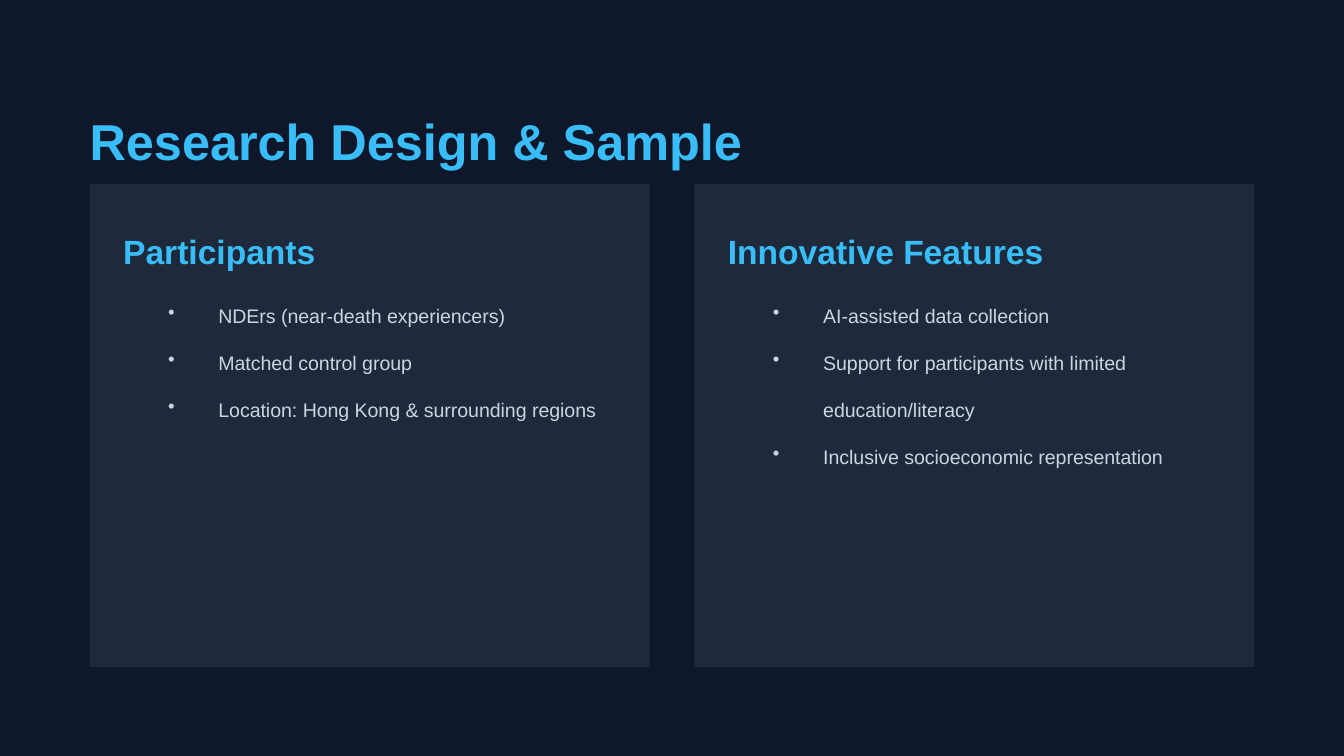
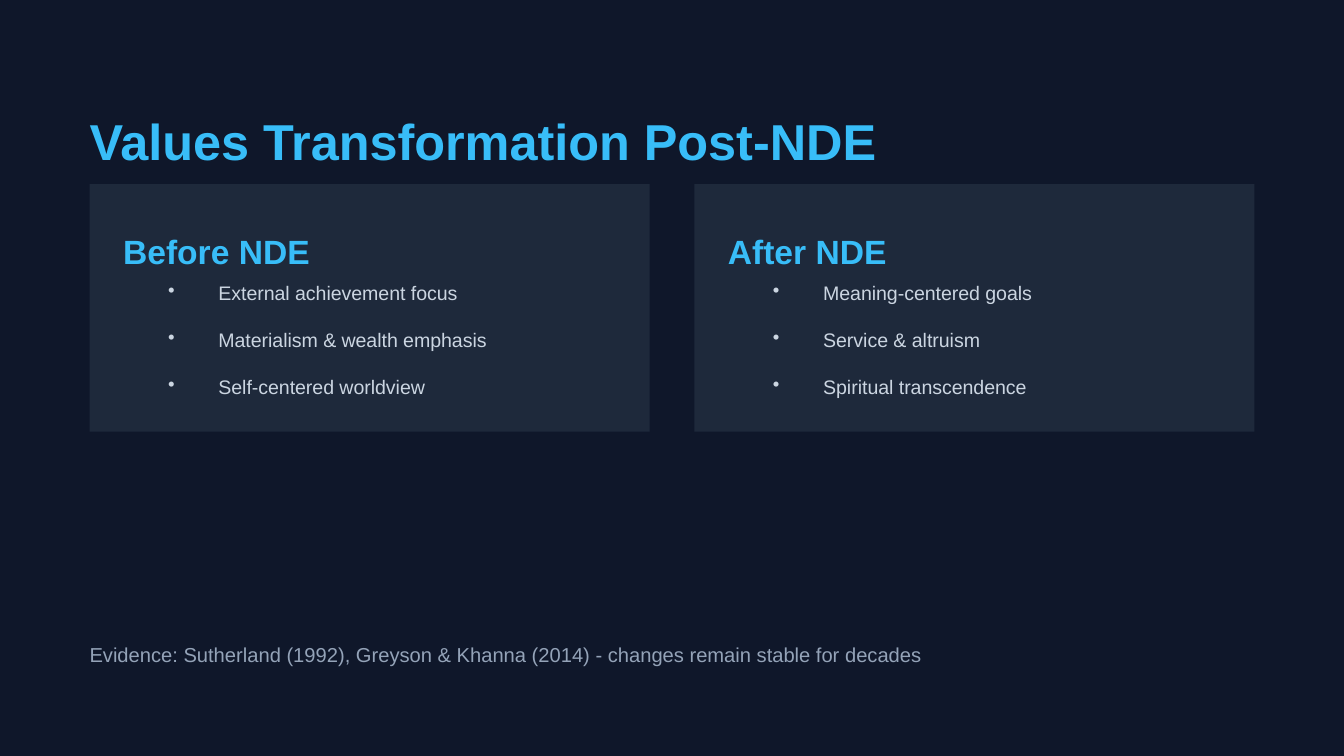
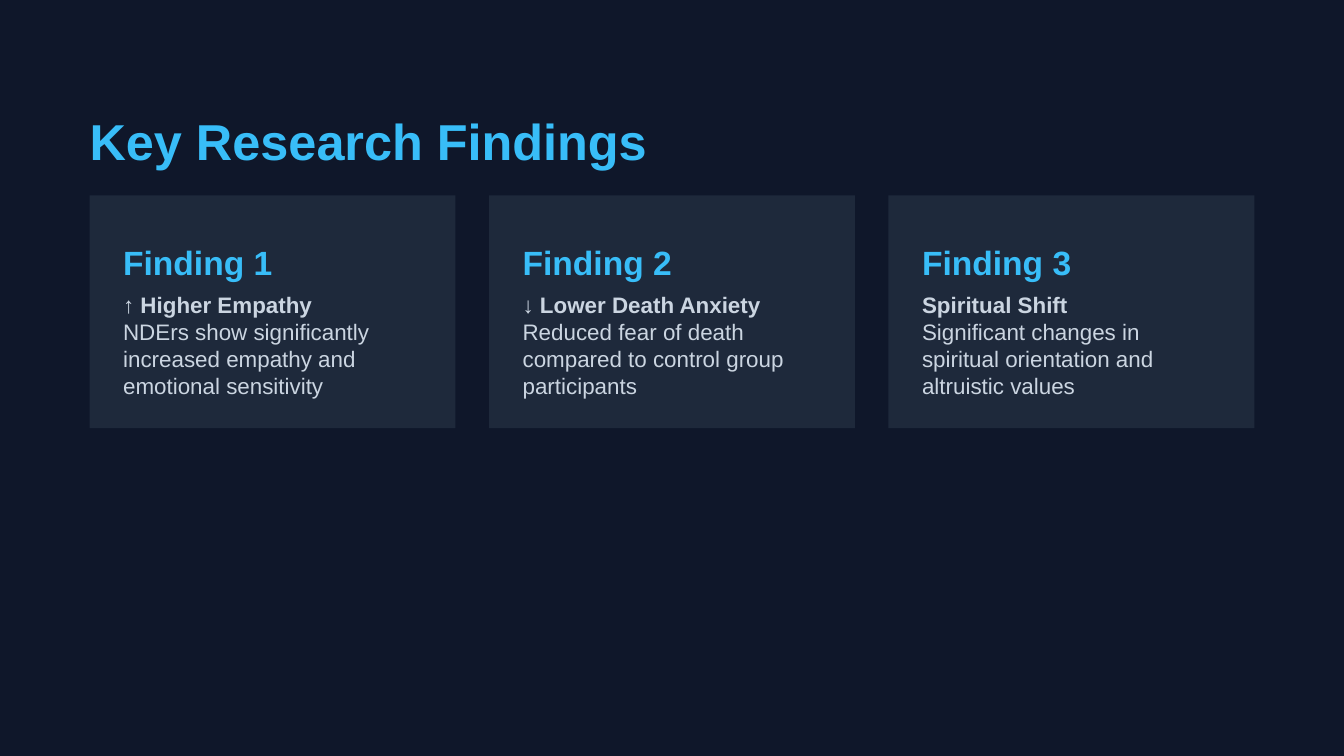
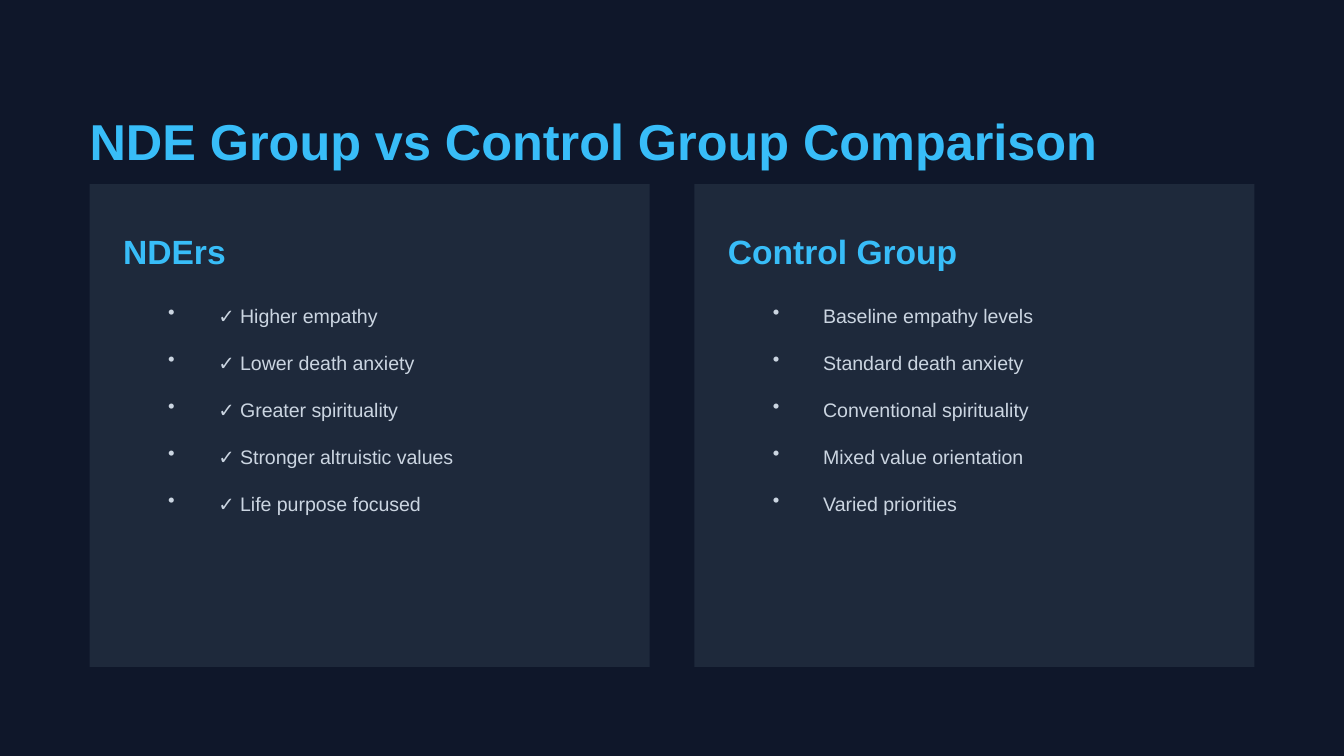
from dataclasses import dataclass

from lxml.etree import SubElement
from pptx import Presentation
from pptx.dml.color import RGBColor
from pptx.enum.shapes import MSO_SHAPE
from pptx.enum.text import MSO_ANCHOR, MSO_AUTO_SIZE, PP_ALIGN
from pptx.oxml.ns import qn
from pptx.slide import Slide
from pptx.text.text import TextFrame
from pptx.util import Inches, Length, Pt

# Palette and font
NIGHT = "0F172A"
PANEL = "1E293B"
SKY = "38BDF8"
MIST = "CBD5E1"
SLATE = "94A3B8"
FONT = "Arial"

# Grid: the slide is 120 columns wide, and rows are as high as columns are wide
SLIDE_WIDTH, SLIDE_HEIGHT = 10, 5.625
COLUMNS = 120
MARGIN = 8
CONTENT = COLUMNS - 2 * MARGIN
PADDING = 3
LIST_INDENT = 4
BULLET_HANG = 4.5
TEXT_SLACK = 1.02  # titles and headings run slightly wider than their column
TITLE_HEIGHT = 5.4
HEADING_HEIGHT = 3.6
NOTE_TOP, NOTE_HEIGHT = 57.36, 2


@dataclass(frozen=True)
class Style:
    size: float
    leading: float
    color: str
    bold: bool = False
    bullet: bool = False


TITLE = Style(27, 43.2, SKY, bold=True)
HEADING = Style(18, 28.8, SKY, bold=True)
BULLET = Style(10.5, 25.2, MIST, bullet=True)
LEAD = Style(12, 14.4, MIST, bold=True)
DETAIL = Style(12, 14.4, MIST)
NOTE = Style(10.8, 13, SLATE)


@dataclass(frozen=True)
class Line:
    text: str
    style: Style


@dataclass(frozen=True)
class Box:
    left: float
    top: float
    width: float
    height: float

    def emu(self) -> tuple[Length, ...]:
        return tuple(grid(n) for n in (self.left, self.top, self.width, self.height))


@dataclass(frozen=True)
class Card:
    heading: str
    lines: list[Line]
    text_height: float


@dataclass(frozen=True)
class CardRow:
    top: float
    height: float
    gap: float
    text_top: float
    text_indent: float


@dataclass(frozen=True)
class Page:
    title: str
    row: CardRow
    cards: list[Card]
    note: str = ""


def grid(cells: float) -> Length:
    return Inches(cells * SLIDE_WIDTH / COLUMNS)


def rgb(color: str) -> RGBColor:
    return RGBColor.from_string(color)


def bullets(*texts: str) -> list[Line]:
    return [Line(text, BULLET) for text in texts]


def finding(lead: str, detail: str) -> list[Line]:
    return [Line(lead, LEAD), Line(detail, DETAIL)]


# Content
TALL_ROW = CardRow(top=16.44, height=43.1, gap=4, text_top=25, text_indent=LIST_INDENT)
SHORT_ROW = CardRow(top=16.44, height=22.1, gap=4, text_top=23, text_indent=LIST_INDENT)
FINDING_ROW = CardRow(top=17.44, height=20.8, gap=3, text_top=26, text_indent=0)

PAGES = [
    Page("Research Design & Sample", TALL_ROW, [
        Card("Participants", bullets(
            "NDErs (near-death experiencers)",
            "Matched control group",
            "Location: Hong Kong & surrounding regions"), 12.5),
        Card("Innovative Features", bullets(
            "AI-assisted data collection",
            "Support for participants with limited education/literacy",
            "Inclusive socioeconomic representation"), 15.6),
    ]),
    Page("Values Transformation Post-NDE", SHORT_ROW, [
        Card("Before NDE", bullets(
            "External achievement focus",
            "Materialism & wealth emphasis",
            "Self-centered worldview"), 12.5),
        Card("After NDE", bullets(
            "Meaning-centered goals",
            "Service & altruism",
            "Spiritual transcendence"), 12.5),
    ], note="Evidence: Sutherland (1992), Greyson & Khanna (2014)"
            " - changes remain stable for decades"),
    Page("Key Research Findings", FINDING_ROW, [
        Card("Finding 1", finding(
            "↑ Higher Empathy",
            "NDErs show significantly increased empathy and emotional sensitivity"), 9.24),
        Card("Finding 2", finding(
            "↓ Lower Death Anxiety",
            "Reduced fear of death compared to control group participants"), 9.24),
        Card("Finding 3", finding(
            "Spiritual Shift",
            "Significant changes in spiritual orientation and altruistic values"), 9.24),
    ]),
    Page("NDE Group vs Control Group Comparison", TALL_ROW, [
        Card("NDErs", bullets(
            "✓ Higher empathy",
            "✓ Lower death anxiety",
            "✓ Greater spirituality",
            "✓ Stronger altruistic values",
            "✓ Life purpose focused"), 21.75),
        Card("Control Group", bullets(
            "Baseline empathy levels",
            "Standard death anxiety",
            "Conventional spirituality",
            "Mixed value orientation",
            "Varied priorities"), 21.75),
    ]),
]


# Drawing
def write(frame: TextFrame, lines: list[Line]) -> None:
    frame.word_wrap = True
    frame.auto_size = MSO_AUTO_SIZE.NONE
    frame.vertical_anchor = MSO_ANCHOR.TOP
    frame.margin_left = frame.margin_top = frame.margin_right = frame.margin_bottom = 0
    for index, line in enumerate(lines):
        paragraph = frame.add_paragraph() if index else frame.paragraphs[0]
        paragraph.alignment = PP_ALIGN.LEFT
        paragraph.line_spacing = Pt(line.style.leading)
        run = paragraph.add_run()
        run.text = line.text
        run.font.name = FONT
        run.font.size = Pt(line.style.size)
        run.font.bold = line.style.bold
        run.font.color.rgb = rgb(line.style.color)
        if line.style.bullet:
            properties = paragraph._p.get_or_add_pPr()
            properties.set("marL", str(grid(BULLET_HANG)))
            properties.set("indent", str(-grid(BULLET_HANG)))
            SubElement(properties, qn("a:buChar")).set("char", "•")


def add_text(slide: Slide, box: Box, lines: list[Line]) -> None:
    write(slide.shapes.add_textbox(*box.emu()).text_frame, lines)


def add_title(slide: Slide, text: str) -> None:
    title = slide.shapes.title
    box = Box(MARGIN, MARGIN, CONTENT * TEXT_SLACK, TITLE_HEIGHT)
    title.left, title.top, title.width, title.height = box.emu()
    write(title.text_frame, [Line(text, TITLE)])


def add_card(slide: Slide, card: Card, row: CardRow, left: float, width: float) -> None:
    panel = slide.shapes.add_shape(
        MSO_SHAPE.RECTANGLE, *Box(left, row.top, width, row.height).emu())
    panel.shadow.inherit = False
    panel.fill.solid()
    panel.fill.fore_color.rgb = rgb(PANEL)
    panel.line.fill.background()

    inner_left, inner_width = left + PADDING, width - 2 * PADDING
    add_text(slide,
             Box(inner_left, row.top + PADDING, inner_width * TEXT_SLACK, HEADING_HEIGHT),
             [Line(card.heading, HEADING)])
    add_text(slide,
             Box(inner_left + row.text_indent, row.text_top,
                 inner_width - row.text_indent, card.text_height),
             card.lines)


def add_page(slide: Slide, page: Page) -> None:
    add_title(slide, page.title)
    count, gap = len(page.cards), page.row.gap
    width = (CONTENT - (count - 1) * gap) / count
    for index, card in enumerate(page.cards):
        add_card(slide, card, page.row, MARGIN + index * (width + gap), width)
    if page.note:
        add_text(slide, Box(MARGIN, NOTE_TOP, CONTENT * TEXT_SLACK, NOTE_HEIGHT),
                 [Line(page.note, NOTE)])


def main() -> None:
    deck = Presentation()
    deck.slide_width, deck.slide_height = Inches(SLIDE_WIDTH), Inches(SLIDE_HEIGHT)
    backdrop = deck.slide_master.background.fill
    backdrop.solid()
    backdrop.fore_color.rgb = rgb(NIGHT)
    title_only = deck.slide_layouts.get_by_name("Title Only")
    for page in PAGES:
        add_page(deck.slides.add_slide(title_only), page)
    deck.save("out.pptx")


if __name__ == "__main__":
    main()
